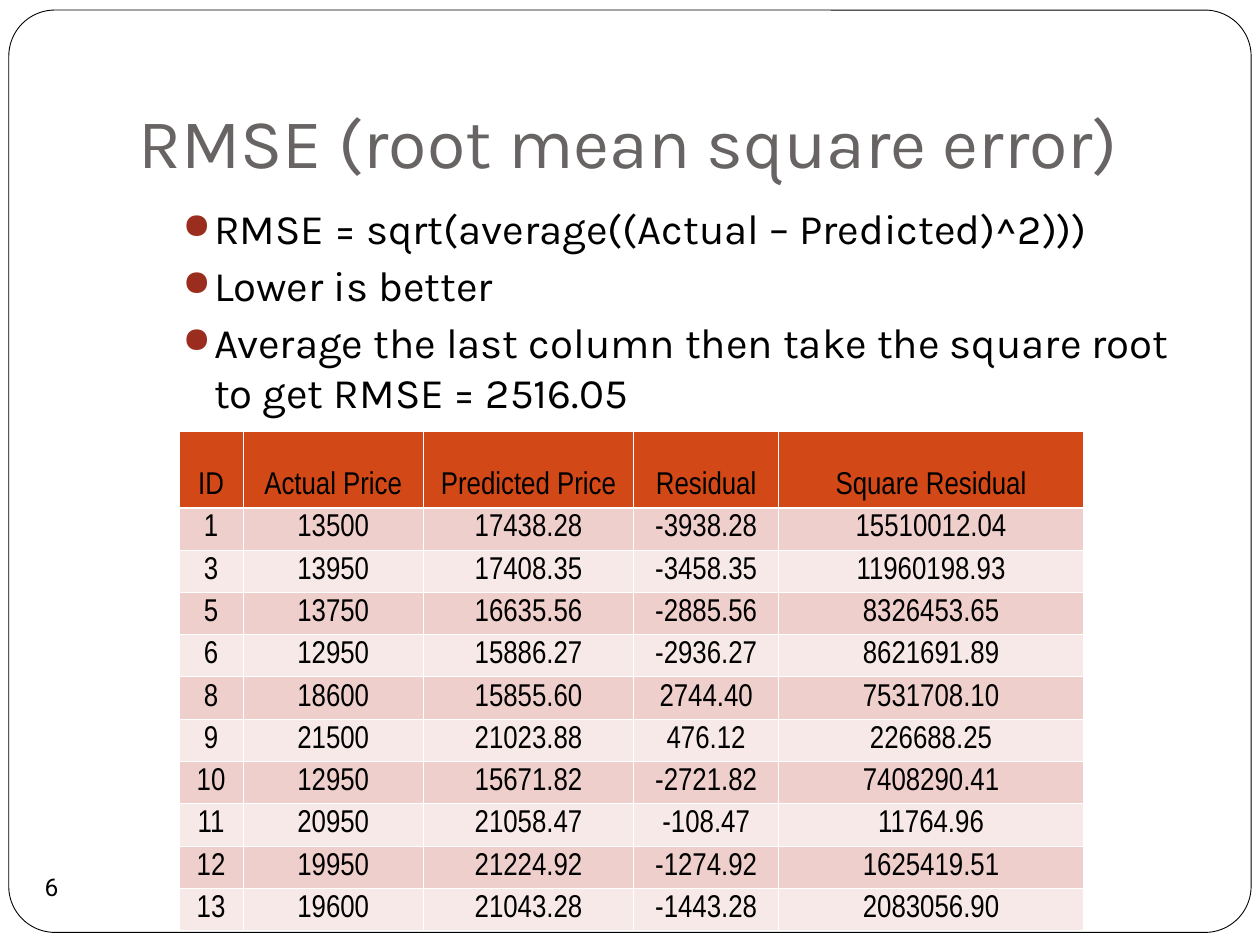
from dataclasses import dataclass

from lxml import etree
from pptx import Presentation
from pptx.dml.color import RGBColor
from pptx.enum.shapes import MSO_SHAPE
from pptx.enum.text import MSO_ANCHOR, MSO_AUTO_SIZE, PP_ALIGN
from pptx.oxml.ns import qn
from pptx.util import Inches, Pt

LEFT, CENTER = PP_ALIGN.LEFT, PP_ALIGN.CENTER
TOP, MIDDLE, BOTTOM = MSO_ANCHOR.TOP, MSO_ANCHOR.MIDDLE, MSO_ANCHOR.BOTTOM
ROUNDED, ELLIPSE = MSO_SHAPE.ROUNDED_RECTANGLE, MSO_SHAPE.OVAL
NO_AUTOFIT = MSO_AUTO_SIZE.NONE


@dataclass(frozen=True)
class Theme:
    white: str = "FFFFFF"
    black: str = "000000"
    title: str = "696464"
    bullet: str = "9B2D1F"
    header: str = "D34817"
    bands: tuple = ("EFCFCC", "F7E9E7")
    main_font: str = "Karla"
    table_font: str = "Arial Narrow"
    number_font: str = "Roboto"
    title_size: int = 40
    body_size: int = 24
    table_size: int = 18
    number_size: int = 14
    thin_rule: float = 0.45
    header_rule: float = 1.47


THEME = Theme()

BULLETS = [
    "RMSE = sqrt(average((Actual – Predicted)^2)))",
    "Lower is better",
    "Average the last column then take the square root to get RMSE = 2516.05",
]
COLUMNS = {
    "ID": 0.51,
    "Actual Price": 1.43,
    "Predicted Price": 1.67,
    "Residual": 1.15,
    "Square Residual": 2.42,
}
HEADER_HEIGHT, ROW_HEIGHT = 0.61, 0.32
PREDICTIONS = [
    ("1", "13500", "17438.28", "-3938.28", "15510012.04"),
    ("3", "13950", "17408.35", "-3458.35", "11960198.93"),
    ("5", "13750", "16635.56", "-2885.56", "8326453.65"),
    ("6", "12950", "15886.27", "-2936.27", "8621691.89"),
    ("8", "18600", "15855.60", "2744.40", "7531708.10"),
    ("9", "21500", "21023.88", "476.12", "226688.25"),
    ("10", "12950", "15671.82", "-2721.82", "7408290.41"),
    ("11", "20950", "21058.47", "-108.47", "11764.96"),
    ("12", "19950", "21224.92", "-1274.92", "1625419.51"),
    ("13", "19600", "21043.28", "-1443.28", "2083056.90"),
]


def rgb(color):
    return RGBColor.from_string(color)


def write(para, text, *, font, size, color=THEME.black, align=LEFT):
    para.alignment = align
    span = para.add_run()
    span.text = text
    span.font.name = font
    span.font.size = Pt(size)
    span.font.color.rgb = rgb(color)


def set_frame(frame, *, anchor, wrap=True, margins=(0.1, 0.05, 0.1, 0.05)):
    """Set anchor, wrapping and margins (left, top, right, bottom)."""
    frame.auto_size = NO_AUTOFIT
    frame.word_wrap = wrap
    frame.vertical_anchor = anchor
    (frame.margin_left, frame.margin_top,
     frame.margin_right, frame.margin_bottom) = map(Inches, margins)


def add_bullet(para):
    properties = para._p.get_or_add_pPr()
    properties.set("marL", str(Inches(0.6)))
    properties.set("indent", str(Inches(-0.25)))
    color = etree.SubElement(properties, qn("a:buClr"))
    etree.SubElement(color, qn("a:srgbClr"), val=THEME.bullet)
    etree.SubElement(properties, qn("a:buSzPct"), val="85000")
    etree.SubElement(properties, qn("a:buChar"), char="●")


def add_border(cell, side, width):
    line = etree.SubElement(cell._tc.get_or_add_tcPr(), qn(f"a:ln{side}"), w=str(Pt(width)))
    fill = etree.SubElement(line, qn("a:solidFill"))
    etree.SubElement(fill, qn("a:srgbClr"), val=THEME.white)


def add_page_frame(page):
    frame = page.shapes.add_shape(
        ROUNDED, Inches(0.07), Inches(0.08), Inches(9.86), Inches(7.32))
    frame.adjustments[0] = 0.05
    frame.shadow.inherit = False
    frame.fill.solid()
    frame.fill.fore_color.rgb = rgb(THEME.white)
    frame.line.color.rgb = rgb(THEME.black)
    frame.line.width = Pt(0.5)
    page.shapes.title._element.addprevious(frame._element)


def set_title(page, text):
    title = page.shapes.title
    title.left, title.top = Inches(1), Inches(0.3)
    title.width, title.height = Inches(8.5), Inches(1.25)
    set_frame(title.text_frame, anchor=BOTTOM, margins=(0.1, 0.05, 0.1, 0.1))
    write(title.text_frame.paragraphs[0], text, font=THEME.main_font,
          size=THEME.title_size, color=THEME.title)


def add_bullet_list(page, items):
    box = page.shapes.add_textbox(Inches(1), Inches(1.56), Inches(8.42), Inches(4.58))
    set_frame(box.text_frame, anchor=TOP)
    for index, item in enumerate(items):
        para = box.text_frame.add_paragraph() if index else box.text_frame.paragraphs[0]
        add_bullet(para)
        if index:
            para.space_before = Pt(3.7)
        write(para, item, font=THEME.main_font, size=THEME.body_size)


def add_page_number(page, number):
    badge = page.shapes.add_shape(
        ELLIPSE, Inches(0.16), Inches(6.79), Inches(0.5), Inches(0.5))
    badge.shadow.inherit = False
    badge.fill.background()
    badge.line.fill.background()
    set_frame(badge.text_frame, anchor=MIDDLE, wrap=False, margins=(0, 0, 0, 0))
    write(badge.text_frame.paragraphs[0], number, font=THEME.number_font,
          size=THEME.number_size, align=CENTER)


def fill_cell(cell, text, row_index):
    top = THEME.header_rule if row_index == 1 else THEME.thin_rule
    bottom = THEME.header_rule if row_index == 0 else THEME.thin_rule
    for side, width in (("L", THEME.thin_rule), ("R", THEME.thin_rule),
                        ("T", top), ("B", bottom)):
        add_border(cell, side, width)
    cell.fill.solid()
    cell.fill.fore_color.rgb = rgb(
        THEME.bands[(row_index - 1) % 2] if row_index else THEME.header)
    cell.margin_left = cell.margin_right = Inches(0.01)
    cell.margin_top = cell.margin_bottom = Inches(0.05)
    cell.vertical_anchor = BOTTOM
    write(cell.text_frame.paragraphs[0], text, font=THEME.table_font,
          size=THEME.table_size, align=CENTER)


def add_prediction_table(page):
    rows = [tuple(COLUMNS), *PREDICTIONS]
    heights = [HEADER_HEIGHT] + [ROW_HEIGHT] * len(PREDICTIONS)
    table = page.shapes.add_table(
        len(rows), len(COLUMNS), Inches(1.42), Inches(3.42),
        Inches(sum(COLUMNS.values())), Inches(sum(heights))).table
    for column, width in zip(table.columns, COLUMNS.values()):
        column.width = Inches(width)
    for row_index, (row, height) in enumerate(zip(rows, heights)):
        table.rows[row_index].height = Inches(height)
        for column_index, text in enumerate(row):
            fill_cell(table.cell(row_index, column_index), text, row_index)


def main():
    deck = Presentation()
    deck.slide_width, deck.slide_height = Inches(10), Inches(7.5)
    page = deck.slides.add_slide(deck.slide_layouts.get_by_name("Title Only"))
    add_page_frame(page)
    set_title(page, "RMSE (root mean square error)")
    add_bullet_list(page, BULLETS)
    add_page_number(page, "6")
    add_prediction_table(page)
    deck.save("out.pptx")


if __name__ == "__main__":
    main()
